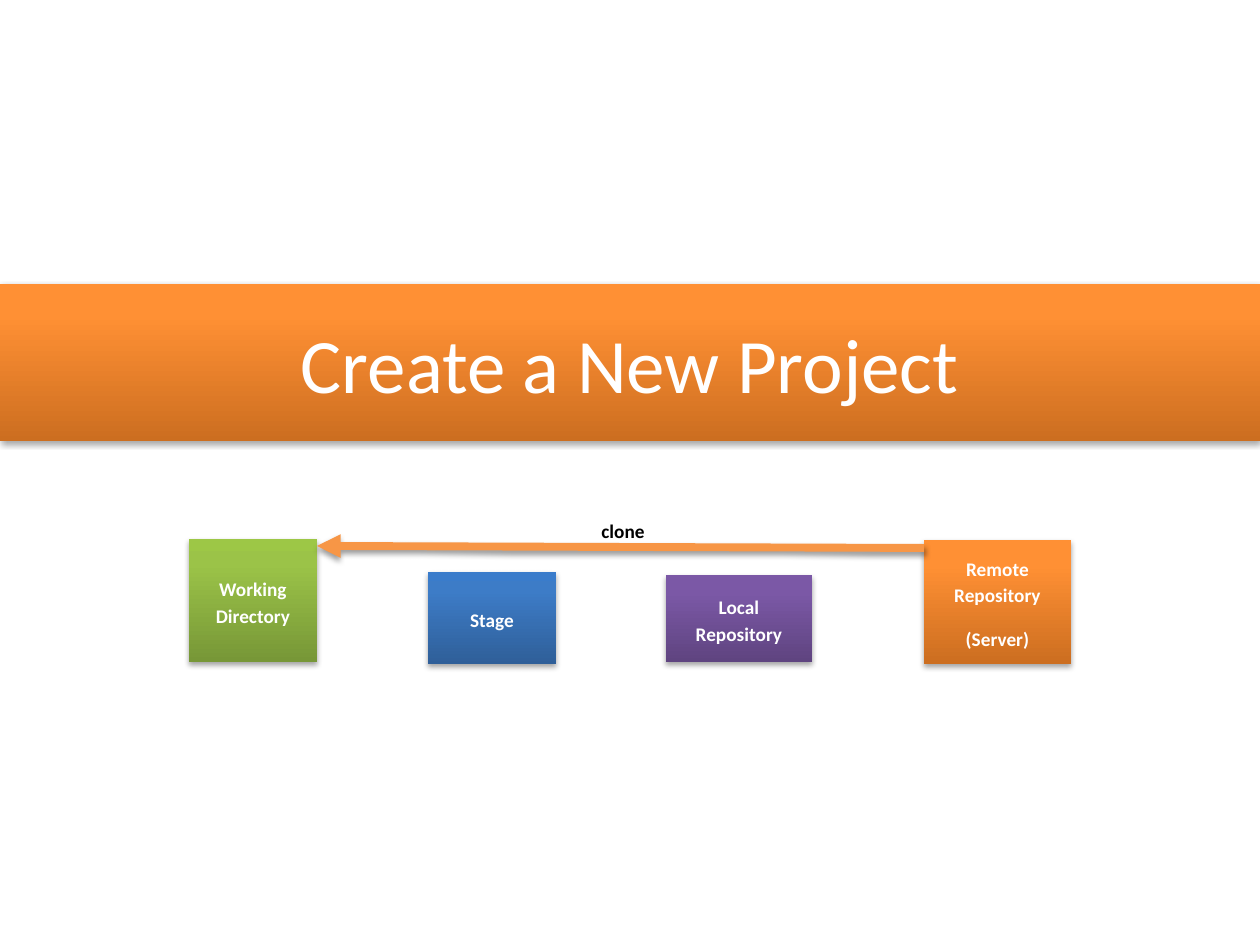
from pptx import Presentation
from pptx.dml.color import RGBColor
from pptx.enum.shapes import MSO_CONNECTOR, MSO_SHAPE
from pptx.enum.text import MSO_ANCHOR, PP_ALIGN
from pptx.oxml.ns import qn
from pptx.util import Pt
from lxml.etree import SubElement

SCALE = 914400 // 126
HUES = {
    "white": "FFFFFF",
    "black": "000000",
    "line": "F79646",
    "orange": ("CC6E20", "FF9034", "FF9136"),
    "green": ("779737", "9BC348", "9DC746"),
    "blue": ("2F5F99", "3D7CC7", "3A7CCB"),
    "purple": ("5F4480", "7B58A6", "7C57A8"),
}
BOXES = [
    ("Working\vDirectory", "green", (189, 539, 128, 123)),
    ("Stage", "blue", (428, 572, 128, 92)),
    ("Local Repository", "purple", (666, 575, 146, 87)),
    ("Remote Repository\n(Server)", "orange", (924, 540, 147, 124)),
]


def px(*nums):
    """Turn pixels into EMU."""
    return [num * SCALE for num in nums]


def tint(node, hue, alpha=None):
    """Add a colour to an XML node."""
    clr = SubElement(node, qn("a:srgbClr"), val=hue)
    if alpha:
        SubElement(clr, qn("a:alpha"), val=str(alpha * 1000))


def shade(props, alpha, drop):
    """Add a soft shadow that falls straight down."""
    effect = props.find(qn("a:effectLst"))
    if effect is None:
        effect = SubElement(props, qn("a:effectLst"))
    cast = SubElement(effect, qn("a:outerShdw"), blurRad="40000",
                      dist=str(drop), dir="5400000", rotWithShape="0")
    tint(cast, HUES["black"], alpha)


def blend(shape, hues):
    """Fill a shape with a vertical three-stop gradient."""
    shape.fill.gradient()
    shape.fill.gradient_angle = 90
    stops = shape.element.spPr.find(qn("a:gradFill")).find(qn("a:gsLst"))
    for stop in list(stops):
        stops.remove(stop)
    for pos, hue in zip((0, 80, 100), hues):
        tint(SubElement(stops, qn("a:gs"), pos=str(pos * 1000)), hue)


def write(shape, text, size, hue, align, bold=True):
    """Put styled text in a shape."""
    frame = shape.text_frame
    frame.word_wrap = True
    frame.text = text
    for para in frame.paragraphs:
        para.alignment = align
        if bold:
            para.line_spacing = 1.15
            para.space_after = Pt(10)
        for run in para.runs:
            run.font.name = "Calibri"
            run.font.size = Pt(size)
            run.font.bold = bold
            run.font.color.rgb = RGBColor.from_string(HUES[hue])


def block(slide, text, hue, area, size=11, bold=True):
    """Draw a shaded rectangle with centred white text."""
    shape = slide.shapes.add_shape(MSO_SHAPE.RECTANGLE, *px(*area))
    blend(shape, HUES[hue])
    shape.line.fill.background()
    shape.shadow.inherit = False
    shade(shape.element.spPr, 35, 23000)
    shape.text_frame.vertical_anchor = MSO_ANCHOR.MIDDLE
    write(shape, text, size, "white", PP_ALIGN.CENTER, bold)


def arrow(slide, start, end):
    """Draw a thick arrow."""
    link = slide.shapes.add_connector(MSO_CONNECTOR.STRAIGHT, *px(*start, *end))
    link.line.color.rgb = RGBColor.from_string(HUES["line"])
    link.line.width = Pt(4.5)
    props = link.element.spPr
    SubElement(props.find(qn("a:ln")), qn("a:tailEnd"), type="triangle")
    shade(props, 38, 20000)


def label(slide, text, area):
    """Add a plain bold label."""
    box = slide.shapes.add_textbox(*px(*area))
    write(box, text, 11, "black", PP_ALIGN.LEFT)


def main():
    """Build the slide and save it."""
    deck = Presentation()
    deck.slide_width, deck.slide_height = px(1260, 945)
    slide = deck.slides.add_slide(deck.slide_layouts[6])
    block(slide, "Create a New Project", "orange", (0, 284, 1260, 157), 44, False)
    for text, hue, area in BOXES:
        block(slide, text, hue, area)
    arrow(slide, (924, 548), (317, 546))
    label(slide, "clone", (589, 510, 145, 47))
    deck.save("out.pptx")


main()
